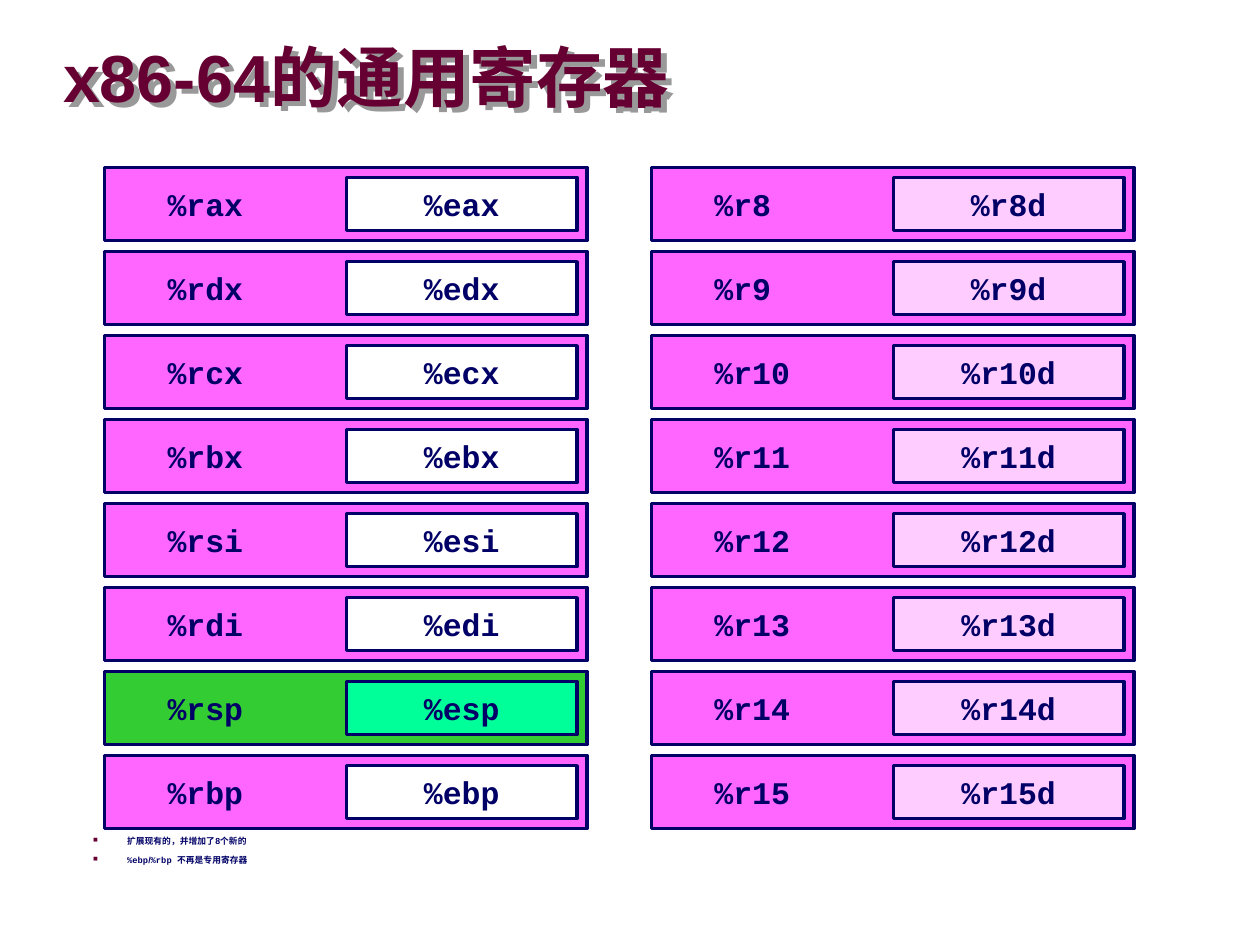
from lxml.etree import SubElement
from pptx import Presentation
from pptx.dml.color import RGBColor
from pptx.enum.shapes import MSO_SHAPE as Shape
from pptx.enum.text import MSO_ANCHOR as Anchor, PP_ALIGN as Align
from pptx.oxml.ns import qn
from pptx.util import Inches, Pt

NAVY, WINE = "000066", "660033"
PINK, PALE, WHITE = "FF66FF", "FFCCFF", "FFFFFF"
GREEN, MINT = "33CC33", "00FF99"
SANS, MONO = "Arial", "Courier New"


def color(code):
    return RGBColor.from_string(code)


def node(parent, tag, **attrs):
    return SubElement(parent, qn(tag), attrs)


class Deck:
    def __init__(self):
        self.prs = Presentation()
        self.prs.slide_width, self.prs.slide_height = Inches(10), Inches(7.5)
        self.slide = self.prs.slides.add_slide(self.prs.slide_layouts[6])

    def style(self, run, size, font, code):
        run.font.size, run.font.name = Pt(size), font
        run.font.bold, run.font.color.rgb = True, color(code)

    def inset(self, frame, left, top, right, bottom):
        frame.margin_left, frame.margin_top = Inches(left), Inches(top)
        frame.margin_right, frame.margin_bottom = Inches(right), Inches(bottom)

    def box(self, text, left, top, width, height, fill, align, pad=0.1):
        box = self.slide.shapes.add_shape(
            Shape.RECTANGLE, Inches(left), Inches(top), Inches(width), Inches(height))
        box.shadow.inherit = False
        box.fill.solid()
        box.fill.fore_color.rgb = color(fill)
        box.line.color.rgb, box.line.width = color(NAVY), Pt(2)
        frame = box.text_frame
        frame.word_wrap, frame.vertical_anchor = False, Anchor.MIDDLE
        self.inset(frame, pad, 0.05, 0.1, 0.05)
        frame.text = text
        para = frame.paragraphs[0]
        para.alignment = align
        self.style(para.runs[0], 18, MONO, NAVY)

    def area(self, left, top, width, height):
        area = self.slide.shapes.add_textbox(
            Inches(left), Inches(top), Inches(width), Inches(height))
        area.text_frame.word_wrap = True
        return area

    def title(self, text):
        area = self.area(0.5, 0.33, 8.75, 0.63)
        frame = area.text_frame
        frame.vertical_anchor = Anchor.MIDDLE
        self.inset(frame, 0, 0, 0, 0)
        frame.text = text
        para = frame.paragraphs[0]
        para.line_spacing = 0.87
        self.style(para.runs[0], 38, SANS, WINE)
        # Hard drop shadow to the lower right
        shade = node(node(area.element.spPr, "a:effectLst"), "a:outerShdw",
                     dist=str(Pt(4.7)), dir="2700000", algn="ctr", rotWithShape="0")
        node(shade, "a:srgbClr", val="999999")

    def bullets(self, items):
        frame = self.area(0.32, 6.58, 8.02, 0.38).text_frame
        self.inset(frame, 0.1, 0.05, 0.1, 0.05)
        for i, (parts, space) in enumerate(items):
            para = frame.add_paragraph() if i else frame.paragraphs[0]
            para.level, para.space_before = 1, Pt(6.2)
            para.line_spacing = space
            for text, font in parts:
                run = para.add_run()
                run.text = text
                self.style(run, 5, font, NAVY)
            props = para._p.get_or_add_pPr()
            props.set("marL", str(Inches(0.59)))
            props.set("indent", str(Inches(-0.27)))
            node(node(props, "a:buClr"), "a:srgbClr", val=WINE)
            node(props, "a:buSzPct", val="75000")
            node(props, "a:buChar", char="■")


def main():
    deck = Deck()
    deck.title("x86-64的通用寄存器")

    # Register grid: each 64-bit box holds its 32-bit half
    old = [("%r" + n, "%e" + n, WHITE)
           for n in ("ax", "dx", "cx", "bx", "si", "di", "sp", "bp")]
    new = [(f"%r{n}", f"%r{n}d", PALE) for n in range(8, 16)]
    step = 2 / 3
    for left, regs in ((0.83, old), (5.17, new)):
        for i, (full, half, tint) in enumerate(regs):
            top = 1.33 + i * step
            stack = full == "%rsp"
            deck.box(full, left, top, 3.83, 0.58, GREEN if stack else PINK,
                     Align.LEFT, 0.5)
            deck.box(half, left + 1.92, top + 0.08, 1.83, 0.42,
                     MINT if stack else tint, Align.CENTER)

    # Notes under the grid
    deck.bullets([
        ([("扩展现有的，并增加了8个新的", SANS)], None),
        ([("%ebp", MONO), ("/", SANS), ("%rbp ", MONO), ("不再是专用寄存器", SANS)], 0.8),
    ])
    deck.prs.save("out.pptx")


if __name__ == "__main__":
    main()
